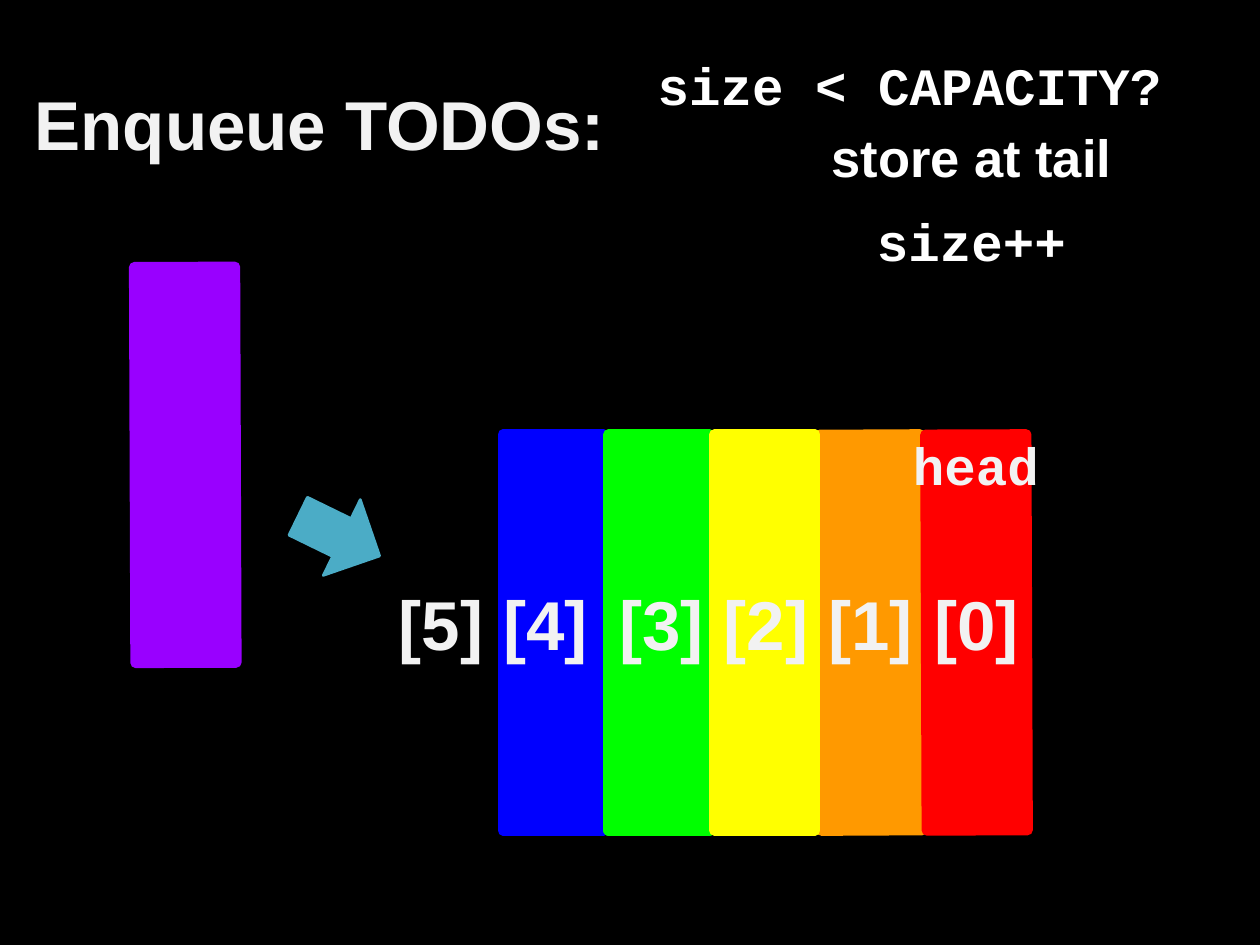
import pptx
import pptx.util
import pptx.dml.color
import pptx.enum.shapes
import pptx.enum.text
import pptx.oxml.ns
from lxml import etree

Inches, Pt = pptx.util.Inches, pptx.util.Pt
SHAPE = pptx.enum.shapes.MSO_SHAPE
ANCHOR = pptx.enum.text.MSO_ANCHOR

COLORS = {
    "black": "000000", "white": "FFFFFF", "pale": "F2F2F2", "teal": "4BACC6",
    "blue": "0000FF", "green": "00FF00", "purple": "9900FF",
    "orange": "FF9900", "yellow": "FFFF00", "red": "FF0000",
}
HEADING = {"size": Pt(39.5), "name": "Arial", "bold": True}
PROSE = {"size": Pt(30), "name": "Arial", "bold": True}
CODE = {"size": Pt(30), "name": "Courier New", "bold": True}

QUEUE_LEFT, QUEUE_TOP, PITCH = 2.82, 4.62, 0.84
BAR_W, BAR_H = 3.14, 0.8
BARS = [
    ("blue", QUEUE_LEFT, QUEUE_TOP, 90),
    ("green", QUEUE_LEFT + PITCH, QUEUE_TOP, 90),
    ("purple", -0.1, 3.29, 89.8),
    ("orange", QUEUE_LEFT + 3 * PITCH, QUEUE_TOP, 89.7),
    ("yellow", QUEUE_LEFT + 2 * PITCH, QUEUE_TOP, 90),
    ("red", QUEUE_LEFT + 4 * PITCH, QUEUE_TOP, 89.8),
]
INDEX_LEFTS = [7.07, 6.23, 5.4, 4.57, 3.65, 2.82]
STEPS = [
    ("size < CAPACITY?", CODE, 0, 0),
    ("store at tail", PROSE, 0.98, 5.5),
    ("size++", CODE, 0.98, 12),
]


def rgb(name):
    return pptx.dml.color.RGBColor.from_string(COLORS[name])


def add_block(s, preset, box, angle, color, weight):
    sp = s.shapes.add_shape(preset, *map(Inches, box))
    sp.rotation = angle
    sp.shadow.inherit = False
    sp.fill.solid()
    sp.fill.fore_color.rgb = rgb(color)
    sp.line.color.rgb = rgb(color)
    sp.line.width = Pt(weight)
    etree.SubElement(sp.line._get_or_add_ln(), pptx.oxml.ns.qn("a:round"))


def add_text(s, box, lines, color, anchor=ANCHOR.MIDDLE, top=0.05):
    tf = s.shapes.add_textbox(*map(Inches, box)).text_frame
    tf.word_wrap = True
    tf.vertical_anchor = anchor
    tf.margin_top = Inches(top)
    for i, (text, style, indent, before) in enumerate(lines):
        p = tf.add_paragraph() if i else tf.paragraphs[0]
        p.alignment = pptx.enum.text.PP_ALIGN.CENTER
        p.space_before = Pt(before)
        if indent:
            p._p.get_or_add_pPr().set("marL", str(Inches(indent)))
        r = p.add_run()
        r.text = text
        r.font.color.rgb = rgb(color)
        for key, value in style.items():
            setattr(r.font, key, value)


def main():
    prs = pptx.Presentation()
    prs.slide_width, prs.slide_height = Inches(10), Inches(7.5)
    s = prs.slides.add_slide(prs.slide_layouts[6])
    s.background.fill.solid()
    s.background.fill.fore_color.rgb = rgb("black")

    add_text(s, (-1.58, 0.02, 8.24, 1.91), [("Enqueue TODOs:", HEADING, 0, 0)], "pale")
    for color, left, top, angle in BARS:
        add_block(s, SHAPE.RECTANGLE, (left, top, BAR_W, BAR_H), angle, color, 6)
    add_block(s, SHAPE.RIGHT_ARROW, (2.33, 3.92, 0.72, 0.67), 26, "teal", 1.5)
    for i, left in enumerate(INDEX_LEFTS):
        add_text(s, (left, 4.44, 1.36, 1), [(f"[{i}]", HEADING, 0, 0)], "pale")
    add_text(s, (6.9, 3.19, 1.69, 1), [("head", CODE, 0, 0)], "pale")
    add_text(s, (3.9, 0.29, 6.64, 2.96), STEPS, "white", ANCHOR.TOP, 0.13)
    prs.save("out.pptx")


if __name__ == "__main__":
    main()
